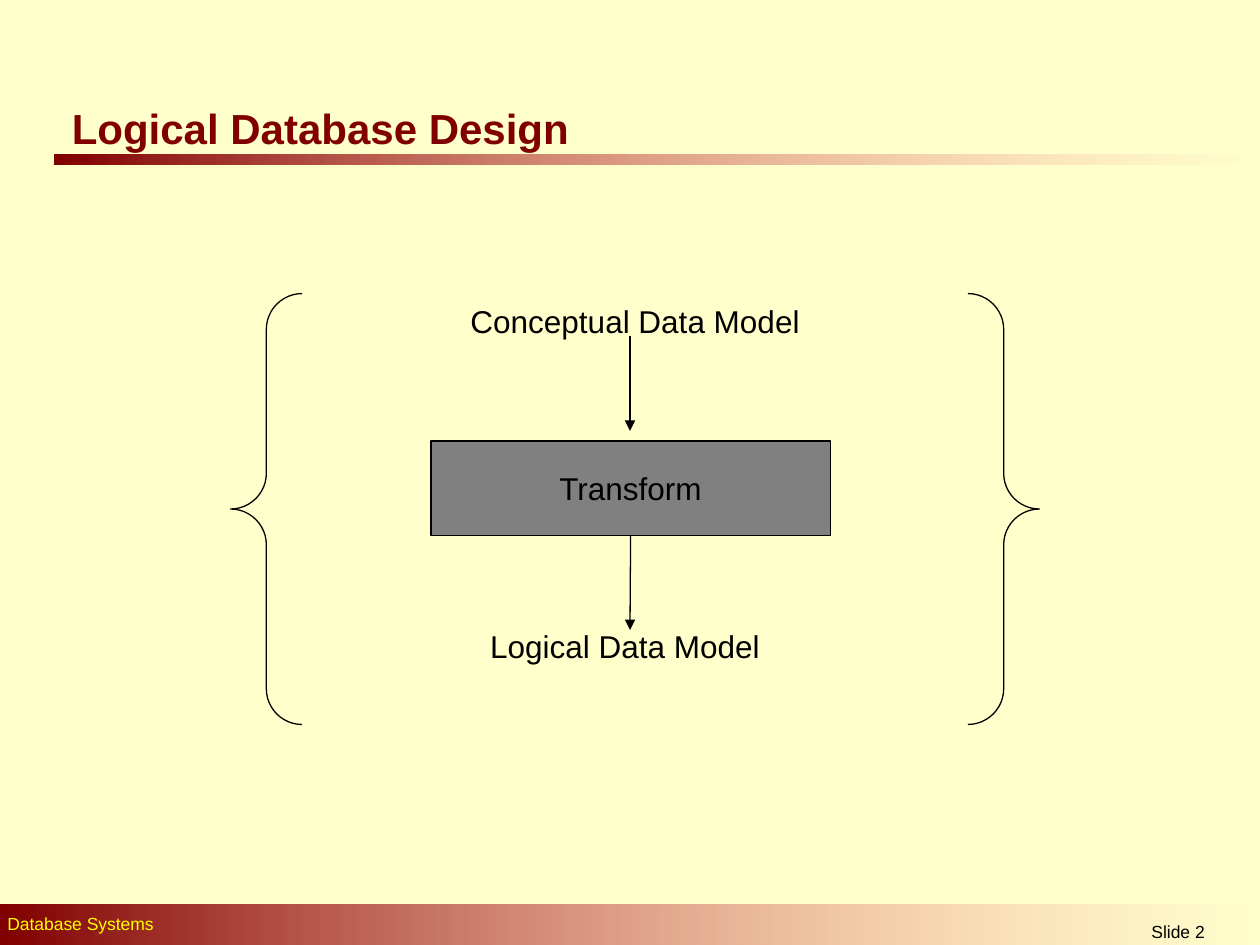
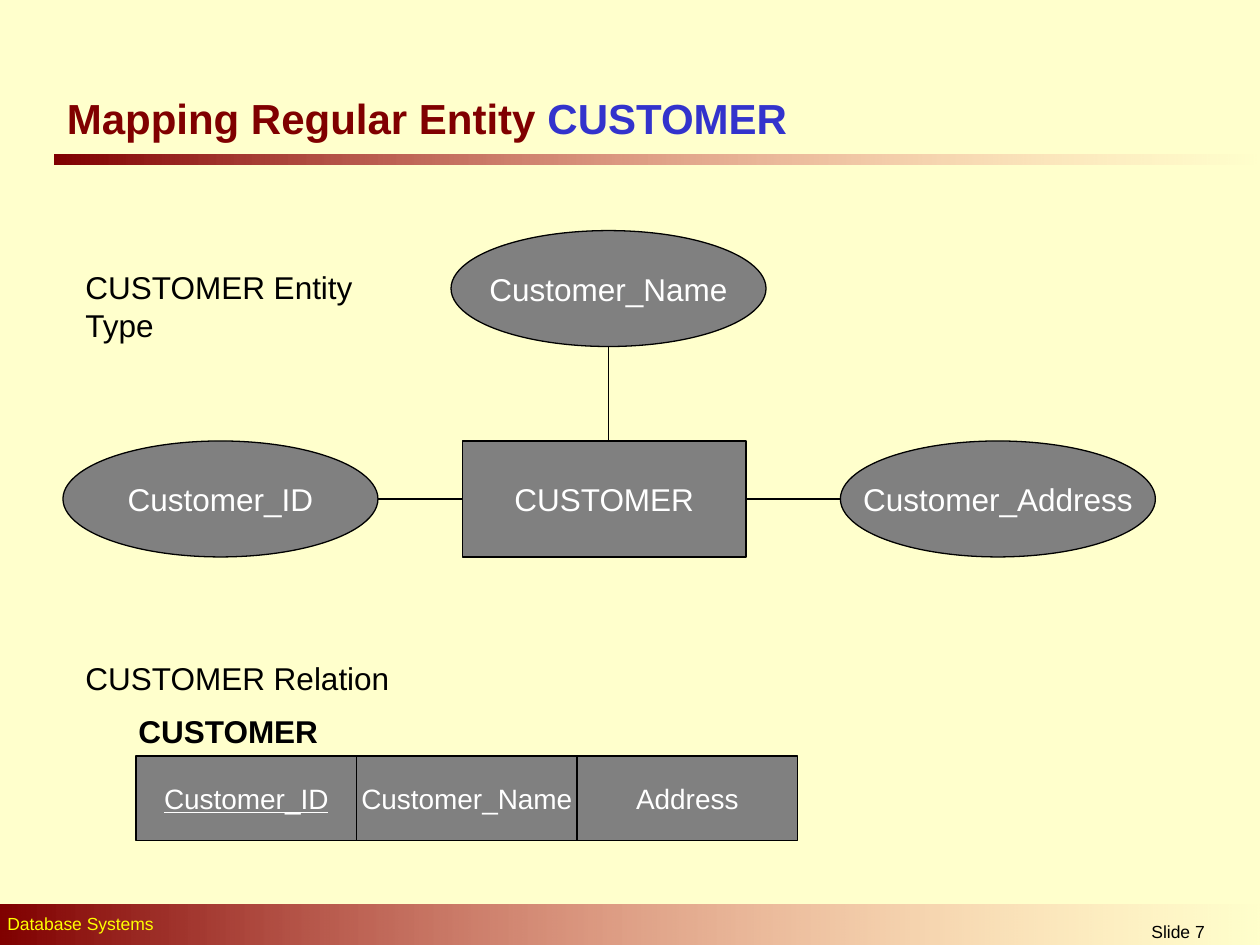
"""Builds two slides on logical database design."""
from lxml.etree import SubElement
from pptx import Presentation
from pptx.dml.color import RGBColor
from pptx.enum.shapes import MSO_CONNECTOR, MSO_SHAPE
from pptx.enum.text import MSO_ANCHOR, MSO_AUTO_SIZE, PP_ALIGN
from pptx.oxml.ns import qn
from pptx.util import Inches, Pt

CREAM = RGBColor(0xFF, 0xFF, 0xCC)
MAROON = RGBColor(0x80, 0x00, 0x00)
SALMON = RGBColor(0xFF, 0x85, 0x85)
GRAY = RGBColor(0x80, 0x80, 0x80)
BLUE = RGBColor(0x33, 0x33, 0xCC)
YELLOW = RGBColor(0xFF, 0xFF, 0x00)
BLACK = RGBColor(0, 0, 0)
WHITE = RGBColor(0xFF, 0xFF, 0xFF)

FONT = "Arial"
TITLE_LAYOUT = 5
LEFT, BOTTOM, RIGHT = 1, 2, 3


class Deck:
    """Holds the shared style and the current slide."""

    def __init__(self):
        self.presentation = Presentation()
        self.presentation.slide_width = Inches(10)
        self.presentation.slide_height = Inches(7.5)
        background = self.presentation.slide_master.background.fill
        background.solid()
        background.fore_color.rgb = CREAM
        self.slide = None

    def style(self, run, size, color, bold=False, underline=False):
        """Format one run."""
        font = run.font
        font.name, font.size = FONT, Pt(size)
        font.bold, font.underline = bold, underline
        font.color.rgb = color

    def add_slide(self, number, title_parts, left, top):
        """Start a slide with its title, bands and footer."""
        layout = self.presentation.slide_layouts[TITLE_LAYOUT]
        self.slide = self.presentation.slides.add_slide(layout)
        self.band(0.43, 1.23, 9.57, 0.08)
        self.band(0, 7.18, 10.03, 0.35)
        self.label("Database Systems", -0.04, 7.2, 6.46, 0.27, size=10, color=YELLOW)
        self.label(f"Slide {number}", 8.31, 7.26, 2.08, 0.24, size=10, align=PP_ALIGN.CENTER)
        self.title(title_parts, left, top)

    def title(self, parts, left, top):
        """Place the title and colour each of its parts."""
        title = self.slide.shapes.title
        title.left, title.top = Inches(left), Inches(top)
        title.width, title.height = Inches(9.05), Inches(0.51)
        frame = title.text_frame
        frame.auto_size = MSO_AUTO_SIZE.NONE
        frame.vertical_anchor = MSO_ANCHOR.MIDDLE
        paragraph = frame.paragraphs[0]
        paragraph.alignment = PP_ALIGN.LEFT
        for text, color in parts:
            run = paragraph.add_run()
            run.text = text
            self.style(run, 24, color, bold=True)

    def shape(self, kind, left, top, width, height):
        """Add a preset shape with a thin black line."""
        shape = self.slide.shapes.add_shape(
            kind, Inches(left), Inches(top), Inches(width), Inches(height))
        shape.shadow.inherit = False
        shape.line.color.rgb = BLACK
        shape.line.width = Pt(0.75)
        return shape

    def band(self, left, top, width, height):
        """Add a band that fades out to the right."""
        band = self.shape(MSO_SHAPE.RECTANGLE, left, top, width, height)
        band.line.fill.background()
        band.fill.gradient()
        band.fill.gradient_angle = 0
        for stop, color, position in zip(band.fill.gradient_stops, (MAROON, SALMON), (0, 1)):
            stop.color.rgb = color
            stop.position = position
        last_color = list(band.element.spPr.iter(qn("a:srgbClr")))[-1]
        SubElement(last_color, qn("a:alpha"), val="0")

    def node(self, kind, text, left, top, width, height, size=18, color=WHITE, underline=False):
        """Add a gray shape with centred text."""
        node = self.shape(kind, left, top, width, height)
        node.fill.solid()
        node.fill.fore_color.rgb = GRAY
        frame = node.text_frame
        frame.word_wrap = False
        frame.vertical_anchor = MSO_ANCHOR.MIDDLE
        frame.text = text
        paragraph = frame.paragraphs[0]
        paragraph.alignment = PP_ALIGN.CENTER
        self.style(paragraph.runs[0], size, color, underline=underline)
        return node

    def label(self, text, left, top, width, height=0.4, size=18, color=BLACK,
              bold=False, align=PP_ALIGN.LEFT):
        """Add a wrapped text box."""
        box = self.slide.shapes.add_textbox(
            Inches(left), Inches(top), Inches(width), Inches(height))
        frame = box.text_frame
        frame.word_wrap = True
        frame.text = text
        paragraph = frame.paragraphs[0]
        paragraph.alignment = align
        self.style(paragraph.runs[0], size, color, bold=bold)

    def line(self, start, end, begin=None, arrow=False):
        """Add a straight line, starting at a (shape, site) pair where given."""
        x1, y1, x2, y2 = (Inches(value) for value in (*start, *end))
        line = self.slide.shapes.add_connector(MSO_CONNECTOR.STRAIGHT, x1, y1, x2, y2)
        line.line.color.rgb = BLACK
        line.line.width = Pt(0.75)
        if begin:
            line.begin_connect(*begin)
        if arrow:
            SubElement(line.get_or_add_ln(), qn("a:tailEnd"), type="triangle")
        SubElement(line.element.spPr, qn("a:effectLst"))


def build_design_slide(deck):
    """Show the step from conceptual to logical model."""
    deck.add_slide(2, [("Logical Database Design", MAROON)], 0.47, 0.76)
    transform = deck.node(MSO_SHAPE.RECTANGLE, "Transform", 3.42, 3.5, 3.17, 0.75, color=BLACK)
    deck.label("Conceptual Data Model", 3.25, 2.35, 3.58, align=PP_ALIGN.CENTER)
    deck.label("Logical Data Model", 3.17, 4.93, 3.58, align=PP_ALIGN.CENTER)
    deck.line((5, 2.67), (5, 3.42), arrow=True)
    deck.line((5, 4.25), (5, 5), begin=(transform, BOTTOM), arrow=True)
    braces = deck.shape(MSO_SHAPE.DOUBLE_BRACE, 1.83, 2.33, 6.42, 3.42)
    braces.fill.background()
    braces.adjustments[0] = 0.083


def build_mapping_slide(deck):
    """Show the CUSTOMER entity and the relation it maps to."""
    title_parts = [("Mapping Regular Entity ", MAROON), ("CUSTOMER", BLUE)]
    deck.add_slide(7, title_parts, 0.43, 0.68)

    columns = ("Customer_ID", "Customer_Name", "Address")
    for index, column in enumerate(columns):
        deck.node(MSO_SHAPE.RECTANGLE, column, 1.08 + 1.75 * index, 6, 1.75, 0.67,
                  size=16, underline=index == 0)
    deck.label("CUSTOMER", 1, 5.6, 2.42, bold=True)

    entity = deck.node(MSO_SHAPE.RECTANGLE, "CUSTOMER", 3.67, 3.5, 2.25, 0.92)
    attributes = (("Customer_Name", 3.58, 1.83),
                  ("Customer_ID", 0.5, 3.5),
                  ("Customer_Address", 6.67, 3.5))
    for text, left, top in attributes:
        deck.node(MSO_SHAPE.OVAL, text, left, top, 2.5, 0.92)
    deck.line((4.83, 3.5), (4.83, 2.75))
    deck.line((5.92, 3.96), (6.67, 3.96), begin=(entity, RIGHT))
    deck.line((3.67, 3.96), (3, 3.96), begin=(entity, LEFT))

    deck.label("CUSTOMER Entity Type", 0.58, 2.08, 2.58, 0.7)
    deck.label("CUSTOMER Relation", 0.58, 5.18, 2.92)


def main():
    """Build and save the presentation."""
    deck = Deck()
    build_design_slide(deck)
    build_mapping_slide(deck)
    deck.presentation.save("out.pptx")


if __name__ == "__main__":
    main()
